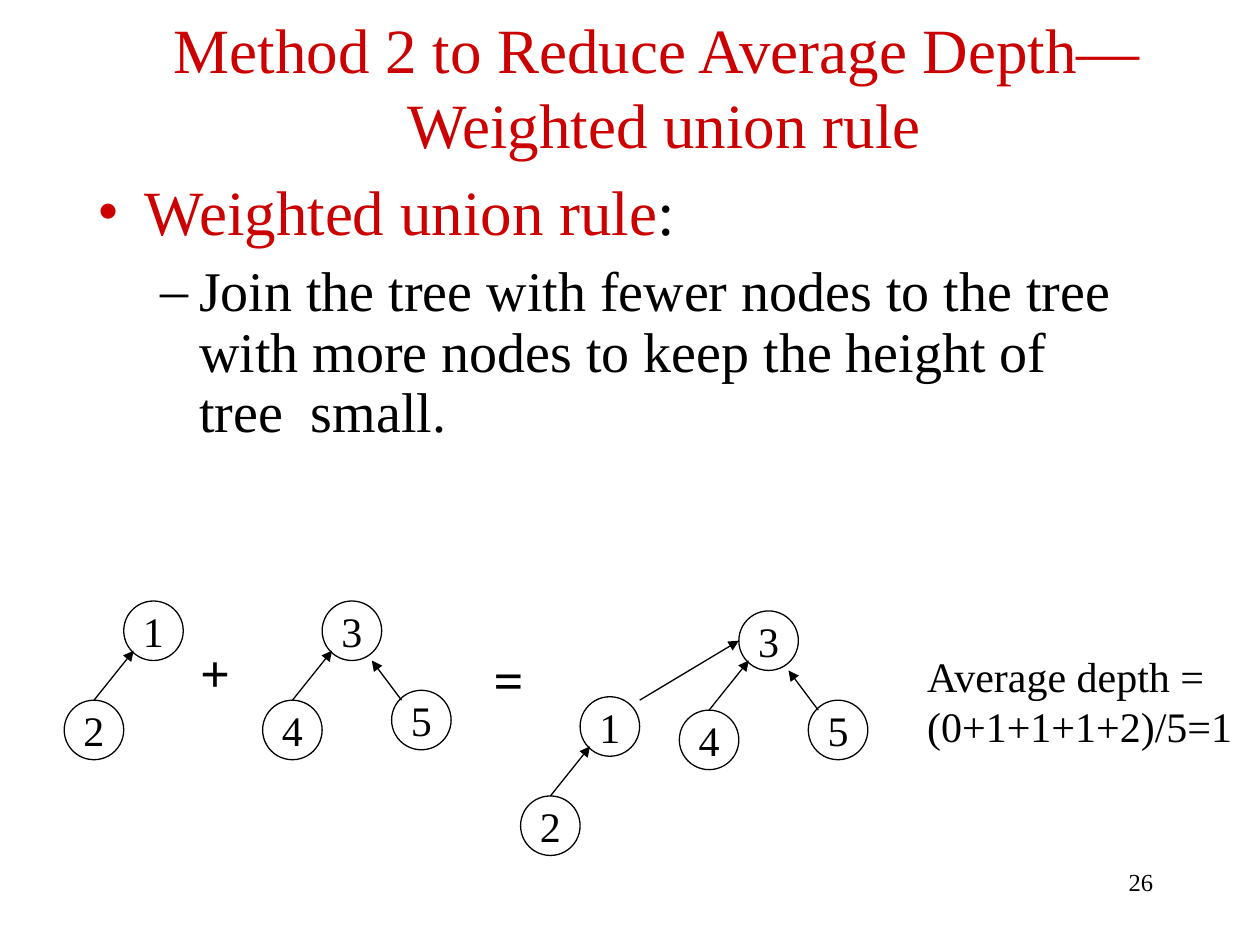
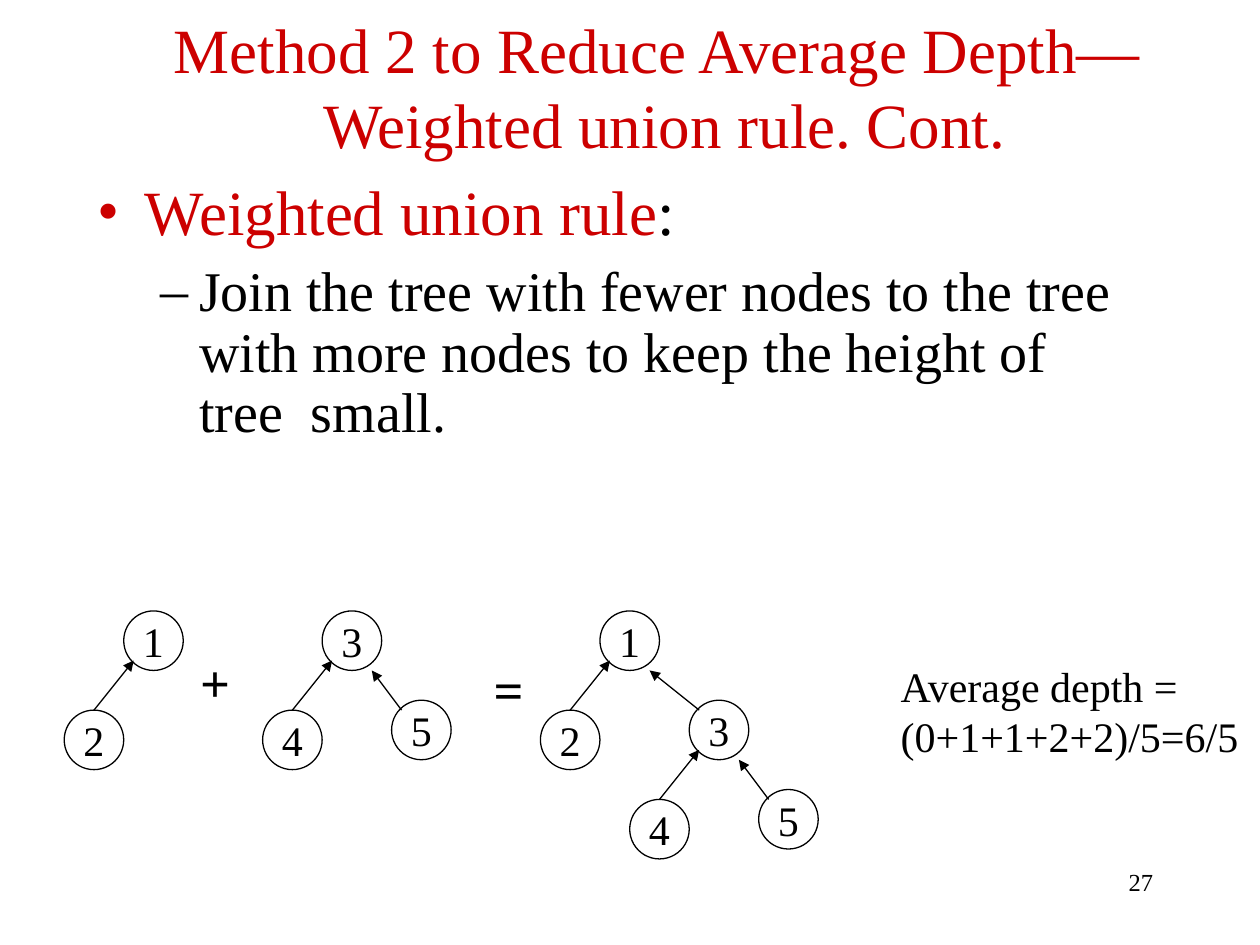
"""Build two slides on the weighted union rule for joining trees."""
from lxml.etree import SubElement
from pptx import Presentation
from pptx.dml.color import RGBColor
from pptx.enum.shapes import MSO_CONNECTOR, MSO_SHAPE
from pptx.enum.text import MSO_ANCHOR, MSO_AUTO_SIZE, PP_ALIGN
from pptx.oxml.ns import qn
from pptx.util import Inches, Pt

RED, BLACK = "CC0000", "000000"
FONT = "Times New Roman"
CELL = 10 / 127
GRID_LEFT, GRID_TOP = 0.51, 4.77
NODE = 6
HEADING = "Method 2 to Reduce Average Depth—\v Weighted union rule"
RULE = "Join the tree with fewer nodes to the tree with more nodes to keep the height of tree  small."


def color(code):
    return RGBColor.from_string(code)


def assign(target, **values):
    for name, value in values.items():
        setattr(target, name, value)


class Deck:
    def __init__(self):
        self.deck = Presentation()
        assign(self.deck, slide_width=Inches(10), slide_height=Inches(7.5))

    def add_page(self, title, number, top_row):
        self.page = self.deck.slides.add_slide(self.deck.slide_layouts[1])
        self.top_row = top_row
        self.title(title)
        self.body()
        box = self.page.shapes.add_textbox(*self.percent(71.7, 91.07, 20.8, 6.67))
        box.text_frame.word_wrap = True
        self.add_text(box.text_frame.paragraphs[0], str(number), 14, align=PP_ALIGN.RIGHT)

    def percent(self, left, top, width, height):
        across, down = self.deck.slide_width / 100, self.deck.slide_height / 100
        return [round(value) for value in (left * across, top * down, width * across, height * down)]

    def point(self, col, row):
        return Inches(GRID_LEFT + col * CELL), Inches(GRID_TOP + (self.top_row + row) * CELL)

    def add_text(self, para, text, size, code=BLACK, bold=False, align=None):
        para.alignment = align
        for index, line in enumerate(text.split("\v")):
            if index:
                para.add_line_break()
            span = para.add_run()
            span.text = line
            assign(span.font, name=FONT, size=Pt(size), bold=bold)
            span.font.color.rgb = color(code)

    def place(self, box, area, anchor):
        assign(box, **dict(zip(("left", "top", "width", "height"), area)))
        assign(box.text_frame, word_wrap=True, auto_size=MSO_AUTO_SIZE.NONE, vertical_anchor=anchor)

    def title(self, text):
        box = self.page.shapes.title
        self.place(box, self.percent(4.3, 4.8, 95.7, 8.53), MSO_ANCHOR.MIDDLE)
        self.add_text(box.text_frame.paragraphs[0], text, 36, RED, align=PP_ALIGN.CENTER)

    def body(self):
        box = self.page.placeholders[1]
        self.place(box, self.percent(6.7, 18.53, 85, 60), MSO_ANCHOR.TOP)
        para = box.text_frame.paragraphs[0]
        self.bullet(para, 0, "•", RED, 0.38, 0.38, 9)
        self.add_text(para, "Weighted union rule", 36, RED)
        self.add_text(para, ":", 36)
        para = box.text_frame.add_paragraph()
        self.bullet(para, 1, "–", BLACK, 0.81, 0.31, 8)
        self.add_text(para, RULE, 32)

    def bullet(self, para, level, mark, code, margin, hang, before):
        assign(para, level=level, line_spacing=0.9, space_before=Pt(before), space_after=Pt(0))
        props = para._p.get_or_add_pPr()
        props.set("marL", str(Inches(margin)))
        props.set("indent", str(-Inches(hang)))
        SubElement(SubElement(props, qn("a:buClr")), qn("a:srgbClr"), val=code)
        SubElement(props, qn("a:buFont"), typeface=FONT)
        SubElement(props, qn("a:buChar"), char=mark)

    def label(self, col, row, cols, rows, lines, size=24, bold=False):
        box = self.page.shapes.add_textbox(*self.point(col, row), Inches(cols * CELL), Inches(rows * CELL))
        frame = box.text_frame
        assign(frame, word_wrap=False, auto_size=MSO_AUTO_SIZE.SHAPE_TO_FIT_TEXT)
        for index, line in enumerate(lines):
            para = frame.add_paragraph() if index else frame.paragraphs[0]
            self.add_text(para, line, size, bold=bold)

    def node(self, text, col, row):
        side = Inches(NODE * CELL)
        box = self.page.shapes.add_shape(MSO_SHAPE.OVAL, *self.point(col, row), side, side)
        box.shadow.inherit = False
        box.fill.background()
        box.line.color.rgb = color(BLACK)
        box.line.width = Pt(0.75)
        assign(box.text_frame, word_wrap=False, vertical_anchor=MSO_ANCHOR.MIDDLE)
        self.add_text(box.text_frame.paragraphs[0], text, 24, align=PP_ALIGN.CENTER)
        return box

    def arrow(self, start, end):
        line = self.page.shapes.add_connector(MSO_CONNECTOR.STRAIGHT, *self.point(*start), *self.point(*end))
        line.line.color.rgb = color(BLACK)
        line.line.width = Pt(0.75)
        SubElement(line.line._get_or_add_ln(), qn("a:tailEnd"), type="triangle")
        SubElement(line._element.spPr, qn("a:effectLst"))
        return line

    def right_arrow(self, parent, child):
        self.arrow((child[0] + 1, child[1] + 1), (parent[0] + 5, parent[1] + 6))

    def tree(self, col, row, root, left, right=None):
        self.node(root, col, row)
        child = self.node(left, col - 6, row + 10)
        self.arrow((col - 3, row + 10), (col + 1, row + 5)).begin_connect(child, 0)
        if right:
            self.node(right, col + 7, row + 9)
            self.right_arrow((col, row), (col + 7, row + 9))

    def union(self, depth_col, depth_cols, total):
        self.tree(6, 0, "1", "2")
        self.tree(26, 0, "3", "4", "5")
        for sign, col, row in (("+", 12.45, 3.3), ("=", 42.04, 4.06)):
            self.label(col, row, 5.6, 7.6, [sign], 30, True)
        self.label(depth_col, 4.33, depth_cols, 11.43, ["Average depth =", total])


def main():
    deck = Deck()
    deck.add_page(HEADING, 26, 0)
    deck.union(85.73, 33.3, "(0+1+1+1+2)/5=1")
    deck.tree(68, 1, "3", "4", "5")
    deck.tree(52, 9.65, "1", "2")
    deck.arrow((58, 10), (68, 4))

    deck.add_page(HEADING + ". Cont.", 27, 1)
    deck.union(83.06, 36.6, "(0+1+1+2+2)/5=6/5")
    deck.tree(54, 0, "1", "2")
    deck.tree(63, 9, "3", "4", "5")
    deck.right_arrow((54, 0), (63, 9))
    deck.deck.save("out.pptx")


if __name__ == "__main__":
    main()
